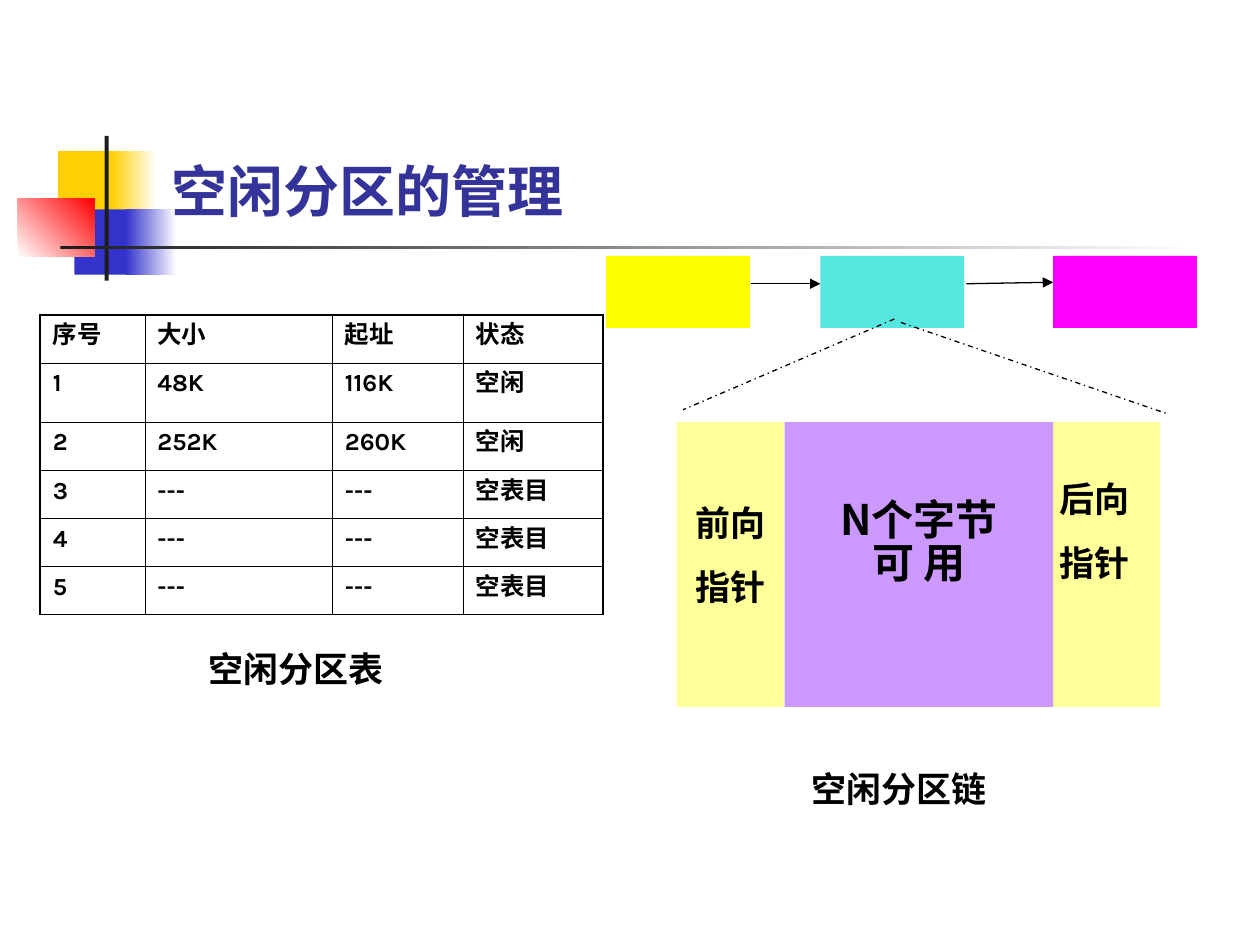
from lxml.etree import SubElement
from pptx import Presentation
from pptx.dml.color import RGBColor
from pptx.enum.dml import MSO_LINE
from pptx.enum.shapes import MSO_CONNECTOR, MSO_SHAPE
from pptx.enum.text import MSO_ANCHOR, PP_ALIGN
from pptx.oxml.ns import qn
from pptx.util import Cm, Pt

COLORS = {
    "black": "000000", "white": "FFFFFF", "title": "333399",
    "gold": "FFCF01", "blue": "3333CC", "red": "FF0000", "charcoal": "1C1C1C",
    "yellow": "FFFF00", "turquoise": "55E7E0", "magenta": "FF00FF",
    "cream": "FFFF99", "lilac": "CC99FF",
}


def add_block(box, start, end=None, angle=0):
    """Add a borderless rectangle, with a gradient when an end colour is given."""
    shape = slide.shapes.add_shape(MSO_SHAPE.RECTANGLE, *map(Cm, box))
    shape.shadow.inherit = False
    shape.line.fill.background()
    if end is None:
        shape.fill.solid()
        shape.fill.fore_color.rgb = RGBColor.from_string(COLORS[start])
    else:
        shape.fill.gradient()
        shape.fill.gradient_angle = angle
        for stop, color in zip(shape.fill.gradient_stops, (start, end)):
            stop.color.rgb = RGBColor.from_string(COLORS[color])
    return shape


def write_lines(frame, lines, size, font="Karla", color="black", gap=0, align=PP_ALIGN.LEFT):
    """Write one bold paragraph per line, using the font for Latin and Chinese alike."""
    for index, line in enumerate(lines):
        paragraph = frame.add_paragraph() if index else frame.paragraphs[0]
        paragraph.text = line
        paragraph.alignment = align
        if index and gap:
            paragraph.space_before = Pt(gap)
        paragraph.font.size = Pt(size)
        paragraph.font.bold = True
        paragraph.font.color.rgb = RGBColor.from_string(COLORS[color])
        paragraph.font.name = font
        defaults = paragraph._p.pPr.find(qn("a:defRPr"))
        SubElement(defaults, qn("a:ea"), typeface=font)


presentation = Presentation()
presentation.slide_width = Cm(25.4)
presentation.slide_height = Cm(19.05)
slide = presentation.slides.add_slide(presentation.slide_layouts[6])

# Title ornament
add_block((1.17, 3.05, 1.22, 1.32), "gold")
add_block((2.24, 3.05, 0.91, 1.32), "gold", "white")
add_block((1.5, 4.22, 1.17, 1.32), "blue")
add_block((2.54, 4.22, 1.02, 1.32), "blue", "white")
add_block((0.36, 4.01, 1.55, 1.17), "white", "red", 45)
add_block((2.11, 2.74, 0.08, 2.92), "charcoal")
add_block((1.22, 4.95, 22.86, 0.08), "charcoal", "white")

# Title and captions
for box, text, size, font, color in (
    ((3.2, 0.58, 21.64, 4.06), "空闲分区的管理", 32, "Karla", "title"),
    ((3.96, 12.9, 6.32, 1.12), "空闲分区表", 20, "Comic Neue", "black"),
    ((16.1, 15.32, 5.23, 1.12), "空闲分区链", 20, "Comic Neue", "black"),
):
    frame = slide.shapes.add_textbox(*map(Cm, box)).text_frame
    frame.word_wrap = True
    frame.vertical_anchor = MSO_ANCHOR.BOTTOM
    write_lines(frame, [text], size, font, color)

# Table of free partitions
rows = [
    ("序号", "大小", "起址", "状态"),
    ("1", "48K", "116K", "空闲"),
    ("2", "252K", "260K", "空闲"),
    ("3", "---", "---", "空表目"),
    ("4", "---", "---", "空表目"),
    ("5", "---", "---", "空表目"),
]
column_widths = (2.11, 3.78, 2.64, 2.82)
row_heights = (0.97, 1.19, 0.97, 0.97, 0.97, 0.97)
table = slide.shapes.add_table(
    len(rows), len(column_widths), Cm(0.81), Cm(6.35),
    Cm(sum(column_widths)), Cm(sum(row_heights)),
).table
table.first_row = False
table.horz_banding = False
for column, width in zip(table.columns, column_widths):
    column.width = Cm(width)
for row, height in zip(table.rows, row_heights):
    row.height = Cm(height)

last_row, last_column = len(rows) - 1, len(column_widths) - 1
for row_index, values in enumerate(rows):
    for column_index, value in enumerate(values):
        cell = table.cell(row_index, column_index)
        write_lines(cell.text_frame, [value], 14)
        properties = cell._tc.get_or_add_tcPr()
        for side, is_outer in (
            ("lnL", column_index == 0), ("lnR", column_index == last_column),
            ("lnT", row_index == 0), ("lnB", row_index == last_row),
        ):
            width = Pt(1.08 if is_outer else 0.45)
            border = SubElement(properties, qn(f"a:{side}"), w=str(width))
            border_fill = SubElement(border, qn("a:solidFill"))
            SubElement(border_fill, qn("a:srgbClr"), val=COLORS["black"])
        cell.fill.background()

# Chain of free partitions
for left, color in ((12.22, "yellow"), (16.54, "turquoise"), (21.23, "magenta")):
    add_block((left, 5.16, 2.9, 1.45), color)

# One partition enlarged: two pointers around the usable bytes
for left in (13.64, 21.23):
    add_block((left, 8.51, 2.16, 5.74), "cream")
usable = add_block((15.82, 8.51, 5.41, 5.74), "lilac").text_frame
usable.vertical_anchor = MSO_ANCHOR.TOP
usable.margin_top = Cm(1.6)
write_lines(usable, ["N个字节", "可 用"], 24, "Noto Sans CJK SC", align=PP_ALIGN.CENTER)
for paragraph in usable.paragraphs:
    paragraph.line_spacing = 0.85

for left, top, name in ((13.77, 9.98, "前向"), (21.11, 9.5, "后向")):
    frame = slide.shapes.add_textbox(Cm(left), Cm(top), Cm(1.92), Cm(2.39)).text_frame
    frame.word_wrap = False
    write_lines(frame, [name, "指针"], 20, gap=12.5)

# Links between partitions, then the dashed lines of the enlargement
for ends, is_link in (
    ((15.14, 5.72, 16.54, 5.72), True),
    ((19.48, 5.72, 21.23, 5.69), True),
    ((18.03, 6.43, 13.77, 8.26), False),
    ((18.16, 6.5, 23.5, 8.33), False),
):
    connector = slide.shapes.add_connector(MSO_CONNECTOR.STRAIGHT, *map(Cm, ends))
    connector.line.width = Pt(0.75)
    connector.line.color.rgb = RGBColor.from_string(COLORS["black"])
    if is_link:
        SubElement(connector.line._get_or_add_ln(), qn("a:tailEnd"), type="triangle")
    else:
        connector.line.dash_style = MSO_LINE.DASH_DOT
    SubElement(connector._element.spPr, qn("a:effectLst"))

presentation.save("out.pptx")
